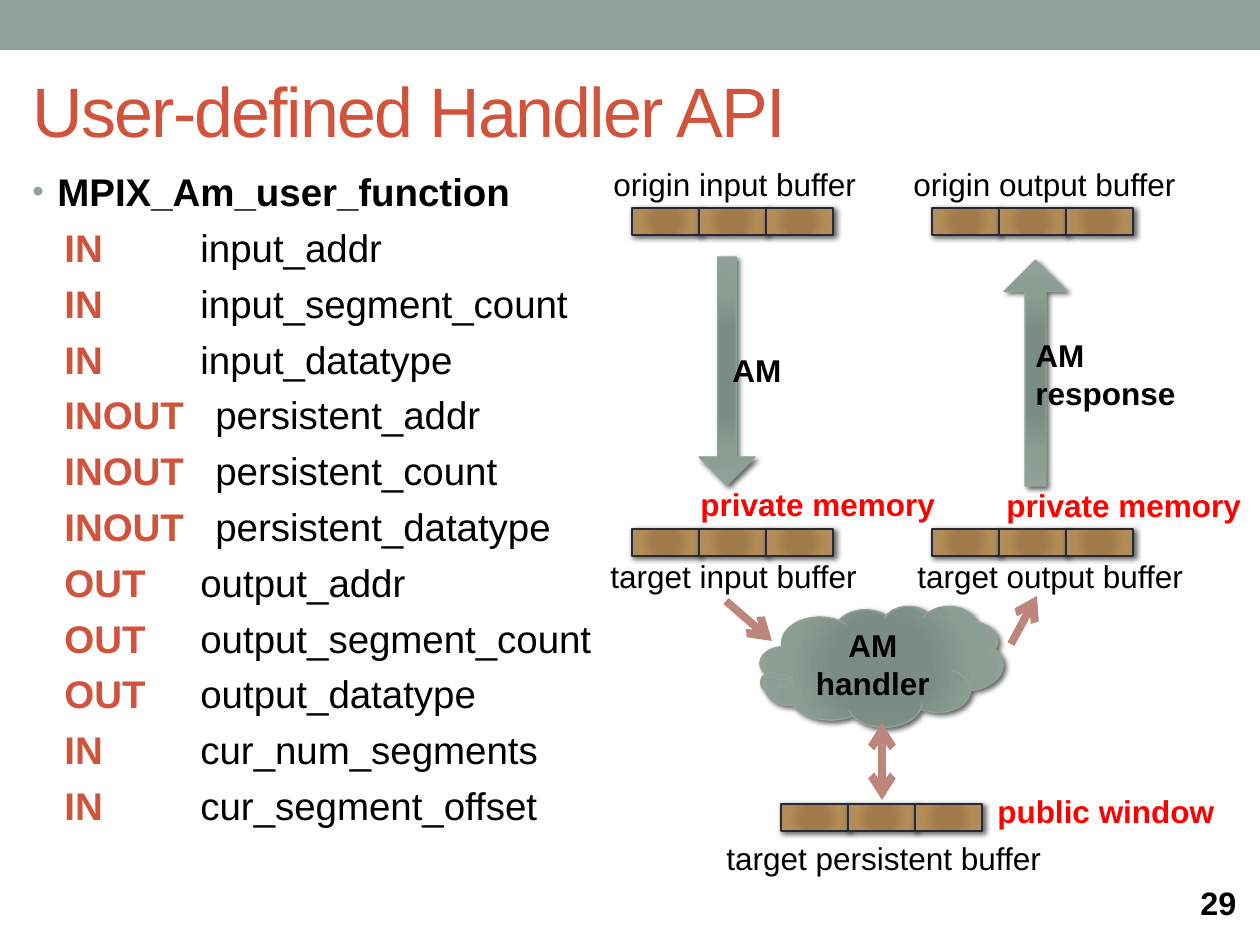
from dataclasses import dataclass

from pptx import Presentation
from pptx.dml.color import RGBColor
from pptx.enum.shapes import MSO_CONNECTOR, MSO_SHAPE as Shape
from pptx.enum.text import MSO_ANCHOR as Anchor, PP_ALIGN as Align
from pptx.oxml import parse_xml
from pptx.oxml.ns import nsdecls, qn
from pptx.util import Emu, Pt


@dataclass(frozen=True)
class Theme:
    font: str = "Arial"
    sage: str = "93A299"
    brick: str = "D2533C"
    ink: str = "000000"
    outline: str = "292934"
    red: str = "FF0000"
    rose: str = "BD867C"
    sage_stops: tuple = ((0, "7B8E82"), (34, "7B8D83"), (70, "8A9E92"), (100, "93A299"))
    wood_stops: tuple = ((0, "A37D49"), (34, "A07C4C"), (70, "B38B55"), (100, "AD8F67"))
    title_size: float = 40
    body_size: float = 22
    label_size: float = 18
    number_size: float = 18.5


theme = Theme()
PX = 914400 / 126


def write(paragraph, text, *, size=theme.label_size, color=theme.ink, bold=False, spacing=0):
    run = paragraph.add_run()
    run.text = text
    run.font.name = theme.font
    run.font.size = Pt(size)
    run.font.bold = bold
    run.font.color.rgb = RGBColor.from_string(color)
    if spacing:
        run.font._element.set("spc", str(spacing * 100))


def add_glossy(kind, box, stops, line_color, line_width):
    """Add a shape with a radial gradient and a soft shadow."""
    shape = slide.shapes.add_shape(kind, *(Emu(round(v * PX)) for v in box))
    shape.line.color.rgb = RGBColor.from_string(line_color)
    shape.line.width = Pt(line_width)
    shape.fill.gradient()
    properties = shape._element.spPr
    stop_xml = "".join(
        f'<a:gs pos="{position * 1000}"><a:srgbClr val="{color}"/></a:gs>'
        for position, color in stops)
    properties.replace(properties.find(qn("a:gradFill")), parse_xml(
        f'<a:gradFill {nsdecls("a")} rotWithShape="1"><a:gsLst>{stop_xml}</a:gsLst>'
        '<a:path path="circle"><a:fillToRect l="100000" t="100000" r="100000" b="100000"/>'
        '</a:path></a:gradFill>'))
    shape.shadow.inherit = False
    properties.find(qn("a:effectLst")).append(parse_xml(
        f'<a:outerShdw {nsdecls("a")} blurRad="38100" dist="25400" dir="2700000" '
        'rotWithShape="0"><a:srgbClr val="000000"><a:alpha val="60000"/></a:srgbClr>'
        '</a:outerShdw>'))
    return shape


presentation = Presentation()
presentation.slide_width = Emu(round(1260 * PX))
presentation.slide_height = Emu(round(945 * PX))
slide = presentation.slides.add_slide(presentation.slide_layouts[6])

# Top band
band = slide.shapes.add_shape(Shape.RECTANGLE, 0, 0, presentation.slide_width, Emu(round(50 * PX)))
band.fill.solid()
band.fill.fore_color.rgb = RGBColor.from_string(theme.sage)
band.line.fill.background()
band.shadow.inherit = False

# Function signature: direction and name sit on two tab stops
arguments = [
    ("IN", "input_addr"), ("IN", "input_segment_count"), ("IN", "input_datatype"),
    ("INOUT", "persistent_addr"), ("INOUT", "persistent_count"),
    ("INOUT", "persistent_datatype"),
    ("OUT", "output_addr"), ("OUT", "output_segment_count"), ("OUT", "output_datatype"),
    ("IN", "cur_num_segments"), ("IN", "cur_segment_offset"),
]
body = slide.shapes.add_textbox(*(Emu(round(v * PX)) for v in (20, 162, 600, 751)))
body.text_frame.word_wrap = True
heading = body.text_frame.paragraphs[0]
heading_properties = heading._p.get_or_add_pPr()
heading_properties.set("marL", str(round(25 * PX)))
heading_properties.set("indent", str(round(-25 * PX)))
for bullet_part in (f'buClr {nsdecls("a")}><a:srgbClr val="{theme.sage}"/></a:buClr',
                    f'buSzPct {nsdecls("a")} val="85000"/',
                    f'buFont {nsdecls("a")} typeface="{theme.font}"/',
                    f'buChar {nsdecls("a")} char="•"/'):
    heading_properties.append(parse_xml(f"<a:{bullet_part}>"))
write(heading, "MPIX_Am_user_function", size=theme.body_size, bold=True)

for direction, name in arguments:
    paragraph = body.text_frame.add_paragraph()
    name_stop = 183 if direction == "INOUT" else 168
    tabs = "".join(f'<a:tab pos="{round(stop * PX)}" algn="l"/>' for stop in (32, name_stop))
    paragraph._p.get_or_add_pPr().append(
        parse_xml(f'<a:tabLst {nsdecls("a")}>{tabs}</a:tabLst>'))
    paragraph.space_before = Pt(5.5)
    write(paragraph, f"\t{direction}\t", size=theme.body_size, color=theme.brick, bold=True)
    write(paragraph, name, size=theme.body_size)

# Buffers of three cells each
CELL_WIDTH, CELL_HEIGHT = 67, 27
for left, top in ((632, 208), (932, 208), (632, 529), (781, 804), (932, 529)):
    for column in range(3):
        add_glossy(Shape.RECTANGLE, (left + column * CELL_WIDTH, top, CELL_WIDTH, CELL_HEIGHT),
                   theme.wood_stops, theme.outline, 1.5)

# Message arrows
for box, rotation in (((699, 257, 56, 228), 0), ((1004, 260, 63, 226), 180)):
    arrow = add_glossy(Shape.DOWN_ARROW, box, theme.sage_stops, theme.sage, 0.75)
    arrow.adjustments[0] = 0.33
    arrow.adjustments[1] = 0.5
    arrow.rotation = rotation

# Handler cloud
cloud = add_glossy(Shape.CLOUD_CALLOUT, (760, 606, 243, 121), theme.sage_stops, theme.sage, 0.75)
cloud.adjustments[0] = -0.38
cloud.adjustments[1] = 0.11
cloud.text_frame.word_wrap = True
cloud.text_frame.vertical_anchor = Anchor.MIDDLE
cloud.text_frame.paragraphs[0].alignment = Align.CENTER
write(cloud.text_frame.paragraphs[0], "AM handler", bold=True)

# Title, page number and diagram labels
strong = {"bold": True}
alert = {"bold": True, "color": theme.red}
labels = [
    ("User-defined Handler API", (20, 41, 1203, 136), Anchor.MIDDLE,
     {"size": theme.title_size, "color": theme.brick, "spacing": -1}),
    ("29", (1188, 880, 72, 45), Anchor.MIDDLE, {"size": theme.number_size, "bold": True}),
    ("AM", (720, 345, 80, 51), Anchor.TOP, strong),
    ("AM response", (1023, 330, 189, 89), Anchor.TOP, strong),
    ("public window", (985, 786, 258, 51), Anchor.TOP, alert),
    ("origin input buffer", (601, 159, 355, 51), Anchor.TOP, {}),
    ("origin output buffer", (901, 159, 355, 51), Anchor.TOP, {}),
    ("target input buffer", (598, 551, 355, 51), Anchor.TOP, {}),
    ("target output buffer", (905, 551, 355, 51), Anchor.TOP, {}),
    ("target persistent buffer", (714, 833, 355, 51), Anchor.TOP, {}),
    ("private memory", (688, 479, 266, 51), Anchor.TOP, alert),
    ("private memory", (994, 480, 266, 51), Anchor.TOP, alert),
]
for text, box, anchor, text_format in labels:
    label = slide.shapes.add_textbox(*(Emu(round(v * PX)) for v in box))
    label.text_frame.word_wrap = True
    label.text_frame.vertical_anchor = anchor
    write(label.text_frame.paragraphs[0], text, **text_format)

# Data flow in and out of the handler
for points, ends in (((726, 601, 772, 641), ("tailEnd",)),
                     ((1011, 644, 1037, 596), ("tailEnd",)),
                     ((882, 800, 882, 723), ("headEnd", "tailEnd"))):
    connector = slide.shapes.add_connector(
        MSO_CONNECTOR.STRAIGHT, *(Emu(round(v * PX)) for v in points))
    connector.line.color.rgb = RGBColor.from_string(theme.rose)
    connector.line.width = Pt(4.5)
    for end in ends:
        connector.line._get_or_add_ln().append(
            parse_xml(f'<a:{end} {nsdecls("a")} type="arrow"/>'))
    connector._element.spPr.append(parse_xml(f'<a:effectLst {nsdecls("a")}/>'))

presentation.save("out.pptx")
